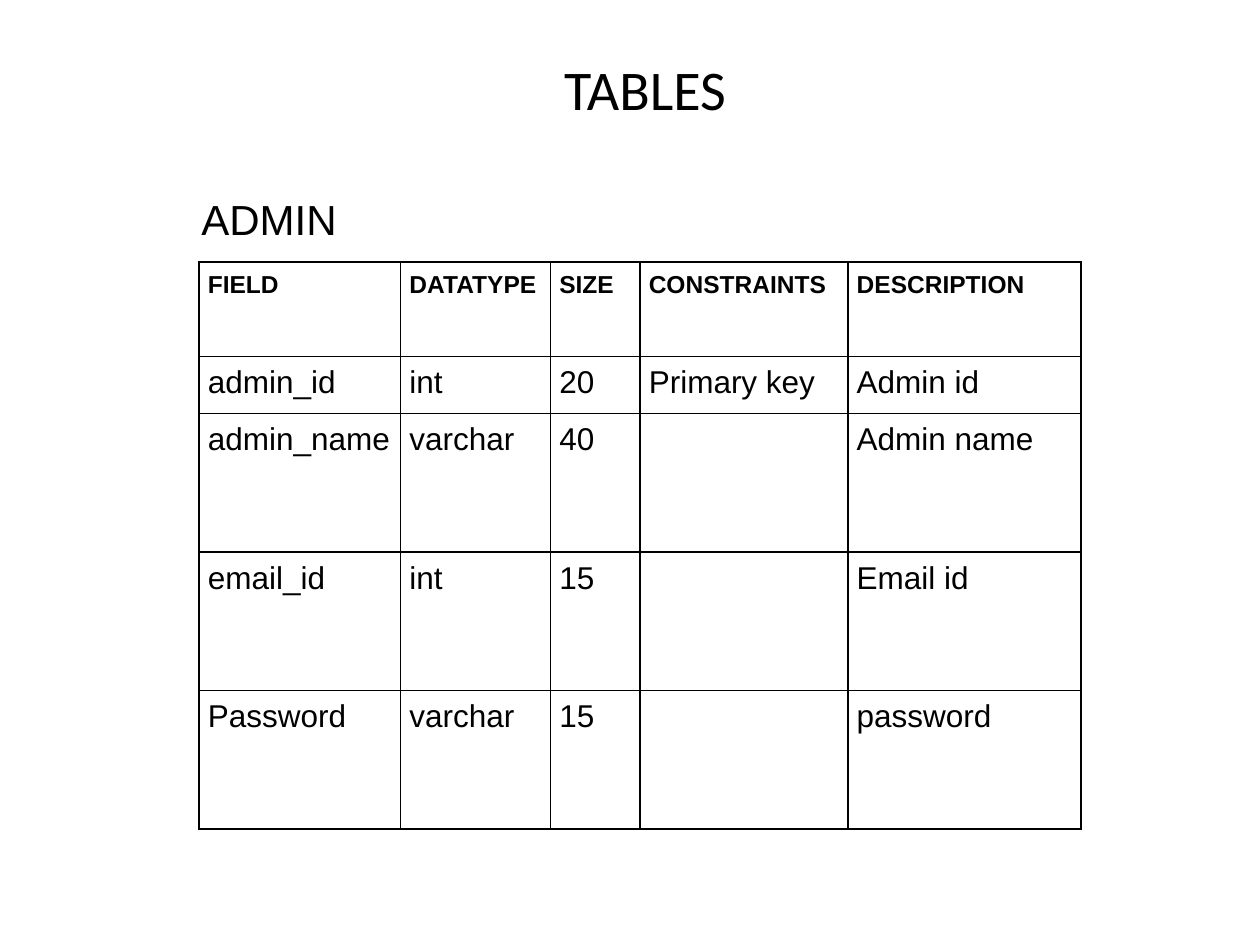
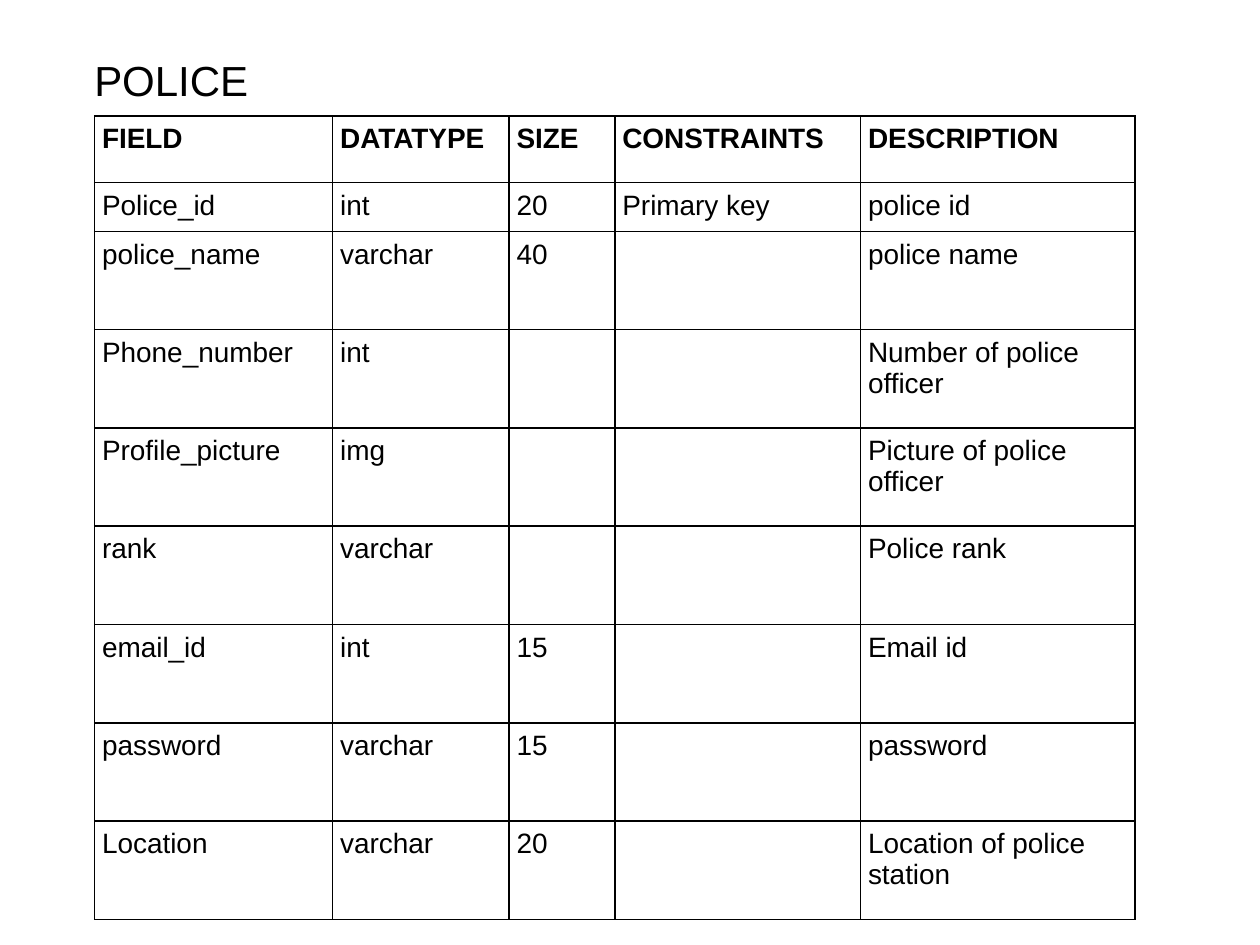
from lxml.etree import SubElement
from pptx import Presentation
from pptx.dml.color import RGBColor
from pptx.enum.text import PP_ALIGN as Align
from pptx.oxml.ns import qn
from pptx.util import Inches, Pt

BLACK = RGBColor(0x00, 0x00, 0x00)
TITLE_FONT = "Calibri"
BODY_FONT = "Arial"
BORDER_WIDTH = Pt(1)

COLUMNS = ["FIELD", "DATATYPE", "SIZE", "CONSTRAINTS", "DESCRIPTION"]
ADMIN_FIELDS = [
    ["admin_id", "int", "20", "Primary key", "Admin id"],
    ["admin_name", "varchar", "40", "", "Admin name"],
    ["email_id", "int", "15", "", "Email id"],
    ["Password", "varchar", "15", "", "password"],
]
POLICE_FIELDS = [
    ["Police_id", "int", "20", "Primary key", "police id"],
    ["police_name", "varchar", "40", "", "police name"],
    ["Phone_number", "int", "", "", "Number of police officer"],
    ["Profile_picture", "img", "", "", "Picture of police officer"],
    ["rank", "varchar", "", "", "Police rank"],
    ["email_id", "int", "15", "", "Email id"],
    ["password", "varchar", "15", "", "password"],
    ["Location", "varchar", "20", "", "Location of police station"],
]


class SchemaDeck:
    def __init__(self):
        self.deck = Presentation()
        self.deck.slide_width = Inches(10)
        self.deck.slide_height = Inches(7.5)
        self.slide = None

    def new_slide(self):
        self.slide = self.deck.slides.add_slide(self.deck.slide_layouts[6])

    def styled_run(self, paragraph, text, size, font=BODY_FONT, bold=False):
        run = paragraph.add_run()
        run.text = text
        run.font.name = font
        run.font.size = Pt(size)
        run.font.bold = bold
        run.font.color.rgb = BLACK

    def text_box(self, text, left, top, width, height, size, font=BODY_FONT, align=Align.LEFT):
        box = self.slide.shapes.add_textbox(
            Inches(left), Inches(top), Inches(width), Inches(height))
        box.text_frame.word_wrap = True
        paragraph = box.text_frame.paragraphs[0]
        paragraph.alignment = align
        self.styled_run(paragraph, text, size, font)

    def title(self, text):
        self.text_box(text, 1.33, 0.38, 7.58, 0.64, 32, TITLE_FONT, Align.CENTER)

    def table_name(self, text, left, top):
        self.text_box(text, left, top, 3, 0.48, 24)

    def border(self, cell):
        properties = cell._tc.get_or_add_tcPr()
        for side in ("a:lnL", "a:lnR", "a:lnT", "a:lnB"):
            line = SubElement(properties, qn(side), w=str(int(BORDER_WIDTH)))
            fill = SubElement(line, qn("a:solidFill"))
            SubElement(fill, qn("a:srgbClr"), val=str(BLACK))

    def field_table(self, fields, left, top, widths, heights, inset, header_size, body_size):
        """Draw the column headings and one row per database field."""
        rows = [COLUMNS] + fields
        table = self.slide.shapes.add_table(
            len(rows), len(COLUMNS), Inches(left), Inches(top),
            Inches(sum(widths)), Inches(sum(heights))).table
        table.first_row = table.horz_banding = False
        for column, width in zip(table.columns, widths):
            column.width = Inches(width)
        for row, height in zip(table.rows, heights):
            row.height = Inches(height)
        for r, values in enumerate(rows):
            for c, value in enumerate(values):
                cell = table.cell(r, c)
                cell.margin_left = cell.margin_right = Inches(inset)
                cell.margin_top = cell.margin_bottom = Inches(inset)
                self.border(cell)
                cell.fill.background()
                if value:
                    size = body_size if r else header_size
                    self.styled_run(cell.text_frame.paragraphs[0], value, size, bold=r == 0)


def main():
    schema = SchemaDeck()

    schema.new_slide()
    schema.title("TABLES")
    schema.field_table(ADMIN_FIELDS, 1.58, 2.08, [1.6, 1.19, 0.71, 1.65, 1.85],
                       [0.75, 0.45] + [1.1] * 3, 0.07, 14, 18)
    schema.table_name("ADMIN", 1.5, 1.49)

    schema.new_slide()
    schema.field_table(POLICE_FIELDS, 0.75, 0.92, [1.89, 1.4, 0.84, 1.95, 2.18],
                       [0.53, 0.38] + [0.78] * 7, 0.06, 16, 16)
    schema.table_name("POLICE", 0.65, 0.38)

    schema.deck.save("out.pptx")


if __name__ == "__main__":
    main()
